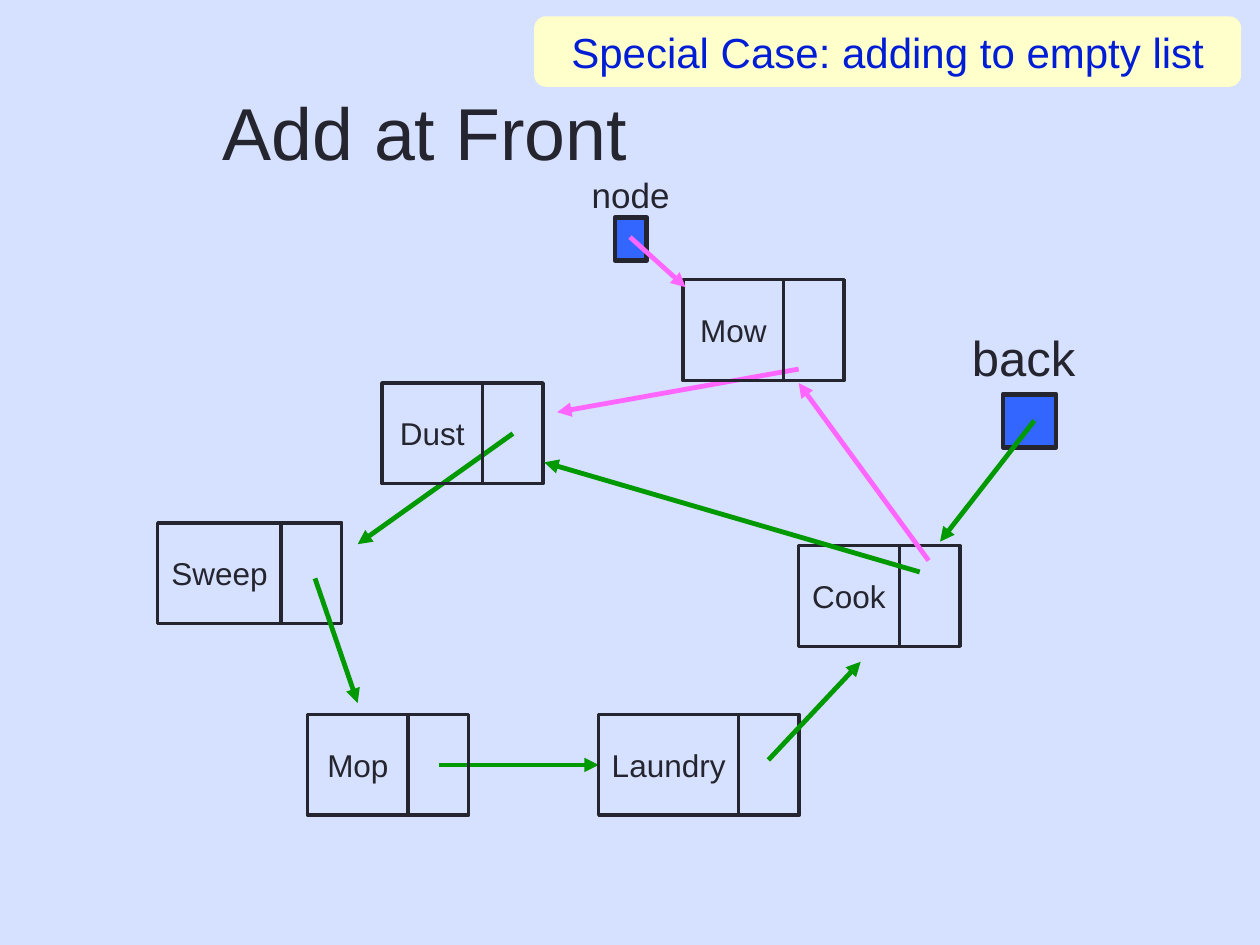
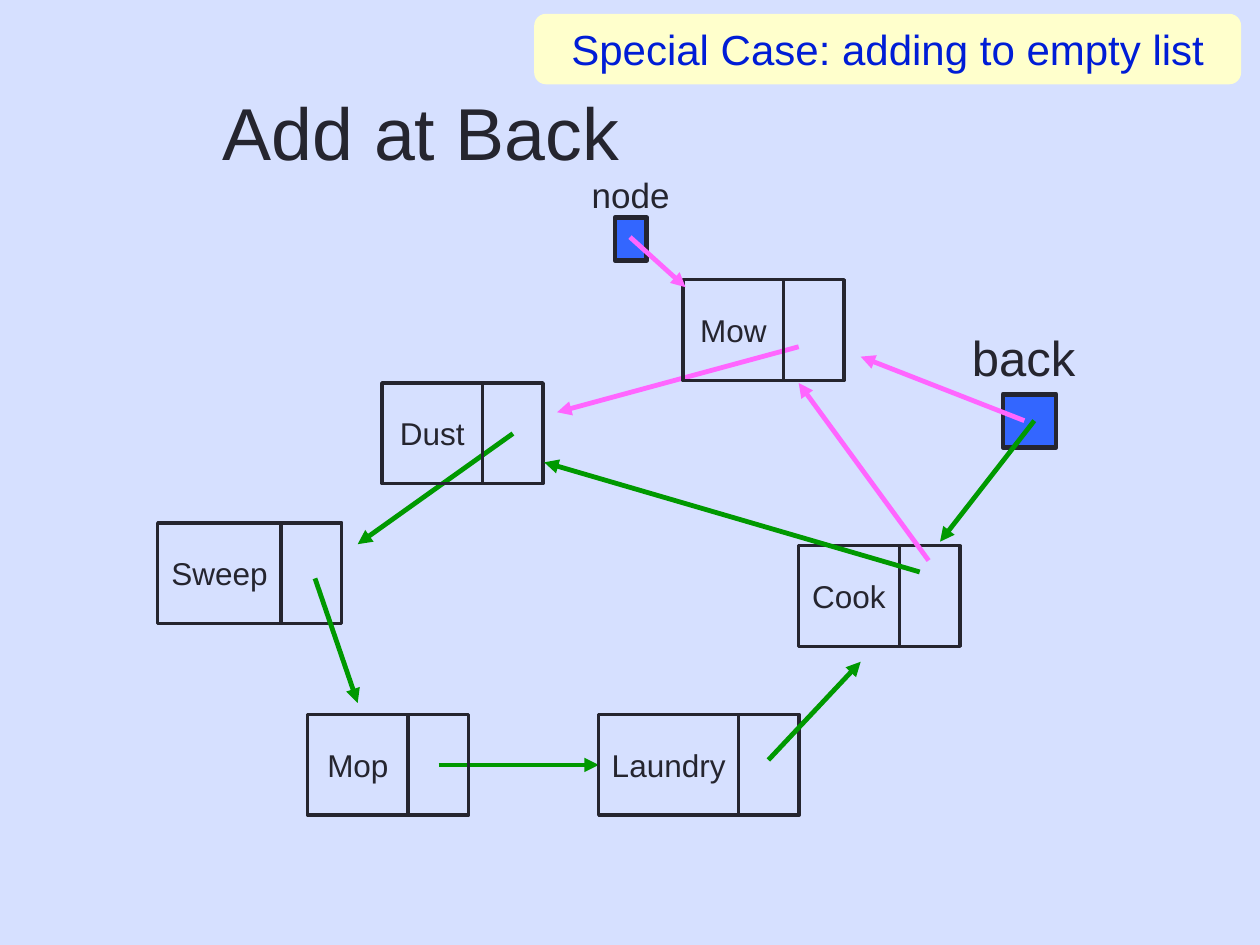
from typing import NamedTuple

from lxml import etree
from pptx import Presentation
from pptx.dml.color import RGBColor
from pptx.enum.shapes import MSO_CONNECTOR, MSO_SHAPE
from pptx.enum.text import MSO_ANCHOR, MSO_AUTO_SIZE, PP_ALIGN
from pptx.oxml.ns import qn
from pptx.util import Cm, Pt

STRAIGHT = MSO_CONNECTOR.STRAIGHT
RECTANGLE = MSO_SHAPE.RECTANGLE
ROUNDED = MSO_SHAPE.ROUNDED_RECTANGLE
LEFT = PP_ALIGN.LEFT
CENTER = PP_ALIGN.CENTER
TOP = MSO_ANCHOR.TOP
MIDDLE = MSO_ANCHOR.MIDDLE
NO_FIT = MSO_AUTO_SIZE.NONE

BACKGROUND = RGBColor(0xD6, 0xE0, 0xFF)
INK = RGBColor(0x25, 0x25, 0x2F)
GREEN = RGBColor(0x00, 0x99, 0x00)
PINK = RGBColor(0xFF, 0x66, 0xFF)
BLUE = RGBColor(0x33, 0x66, 0xFF)
CREAM = RGBColor(0xFF, 0xFF, 0xCC)
BANNER_INK = RGBColor(0x00, 0x1D, 0xD6)

FONT = "Arial"
CELL_HEIGHT = 2.03
LINK_WIDTH = 1.22
HEAVY_LINE = 2.75


class Area(NamedTuple):
    left: float
    top: float
    width: float
    height: float


class Cell(NamedTuple):
    name: str
    left: float
    top: float
    width: float = 2.03


class Variable(NamedTuple):
    name: str
    size: int
    label: Area
    square: Area


class Arrow(NamedTuple):
    color: RGBColor
    start: tuple[float, float]
    end: tuple[float, float]


class Variant(NamedTuple):
    title: str
    banner_top: float
    new_link_top: float
    extra_arrows: tuple[Arrow, ...] = ()


TITLE_AREA = Area(4.24, 0.53, 19.48, 4.24)

CELLS = (
    Cell("Dust", 7.70, 7.72),
    Cell("Sweep", 3.18, 10.54, 2.49),
    Cell("Mop", 6.20, 14.40),
    Cell("Cook", 16.10, 11.00),
    Cell("Laundry", 12.07, 14.40, 2.82),
    Cell("Mow", 13.77, 5.64),
)

VARIABLES = (
    Variable("back", 28, Area(19.15, 6.48, 2.97, 1.45), Area(20.22, 7.95, 1.07, 1.07)),
    Variable("node", 20, Area(11.23, 3.38, 2.97, 1.12), Area(12.40, 4.39, 0.64, 0.86)),
)

ARROWS_BELOW = (
    Arrow(GREEN, (10.34, 8.74), (7.21, 10.97)),
    Arrow(GREEN, (8.84, 15.42), (12.07, 15.42)),
)

ARROWS_ABOVE = (
    Arrow(GREEN, (6.35, 11.66), (7.21, 14.17)),
    Arrow(GREEN, (15.49, 15.32), (17.35, 13.34)),
    Arrow(PINK, (12.70, 4.78), (13.82, 5.79)),
    Arrow(GREEN, (18.54, 11.53), (10.97, 9.32)),
    Arrow(PINK, (18.72, 11.30), (16.10, 7.72)),
    Arrow(GREEN, (20.85, 8.48), (18.95, 10.92)),
)

VARIANTS = (
    Variant("Add at Front", 0.33, 7.44),
    Variant("Add at Back", 0.28, 6.99, (Arrow(PINK, (20.65, 8.48), (17.35, 7.19)),)),
)


def lengths(area: Area) -> list[Cm]:
    return [Cm(value) for value in area]


def write_text(box, text: str, *, size: int, color: RGBColor = INK,
               align=CENTER, anchor=MIDDLE, wrap: bool = True) -> None:
    frame = box.text_frame
    frame.auto_size = NO_FIT
    frame.word_wrap = wrap
    frame.vertical_anchor = anchor
    para = frame.paragraphs[0]
    para.alignment = align
    span = para.add_run()
    span.text = text
    span.font.name = FONT
    span.font.size = Pt(size)
    span.font.color.rgb = color


def add_box(page, area: Area, *, kind=RECTANGLE, fill: RGBColor | None = None,
            line_width: float = 0):
    box = page.shapes.add_shape(kind, *lengths(area))
    box.shadow.inherit = False
    if fill is None:
        box.fill.background()
    else:
        box.fill.solid()
        box.fill.fore_color.rgb = fill
    if line_width:
        box.line.color.rgb = INK
        box.line.width = Pt(line_width)
    else:
        box.line.fill.background()
    return box


def add_cell(page, cell: Cell) -> None:
    name_area = Area(cell.left, cell.top, cell.width, CELL_HEIGHT)
    link_area = Area(cell.left + cell.width, cell.top, LINK_WIDTH, CELL_HEIGHT)
    name_box = add_box(page, name_area, line_width=2)
    write_text(name_box, cell.name, size=18, wrap=False)
    add_box(page, link_area, line_width=2)


def add_variable(page, variable: Variable) -> None:
    label = page.shapes.add_textbox(*lengths(variable.label))
    write_text(label, variable.name, size=variable.size, anchor=TOP)
    add_box(page, variable.square, fill=BLUE, line_width=HEAVY_LINE)


def add_arrow(page, arrow: Arrow) -> None:
    ends = [Cm(value) for value in arrow.start + arrow.end]
    connector = page.shapes.add_connector(STRAIGHT, *ends)
    connector.line.color.rgb = arrow.color
    connector.line.width = Pt(HEAVY_LINE)
    outline = connector.line._get_or_add_ln()
    etree.SubElement(outline, qn("a:tailEnd"), type="triangle")
    etree.SubElement(connector._element.spPr, qn("a:effectLst"))


def add_title(page, text: str) -> None:
    title = page.shapes.title
    title.left, title.top, title.width, title.height = lengths(TITLE_AREA)
    write_text(title, text, size=42, align=LEFT)


def add_banner(page, top: float) -> None:
    banner = add_box(page, Area(10.77, top, 14.25, 1.42), kind=ROUNDED, fill=CREAM)
    write_text(banner, "Special Case: adding to empty list", size=24, color=BANNER_INK)


def add_page(deck, variant: Variant) -> None:
    page = deck.slides.add_slide(deck.slide_layouts.get_by_name("Title Only"))
    add_title(page, variant.title)
    new_link = Arrow(PINK, (16.10, variant.new_link_top), (11.23, 8.31))
    for arrow in (*ARROWS_BELOW, new_link):
        add_arrow(page, arrow)
    for cell in CELLS:
        add_cell(page, cell)
    for variable in VARIABLES:
        add_variable(page, variable)
    for arrow in ARROWS_ABOVE + variant.extra_arrows:
        add_arrow(page, arrow)
    add_banner(page, variant.banner_top)


def main() -> None:
    deck = Presentation()
    deck.slide_width, deck.slide_height = Cm(25.4), Cm(19.05)
    backdrop = deck.slide_master.background.fill
    backdrop.solid()
    backdrop.fore_color.rgb = BACKGROUND
    for variant in VARIANTS:
        add_page(deck, variant)
    deck.save("out.pptx")


main()
